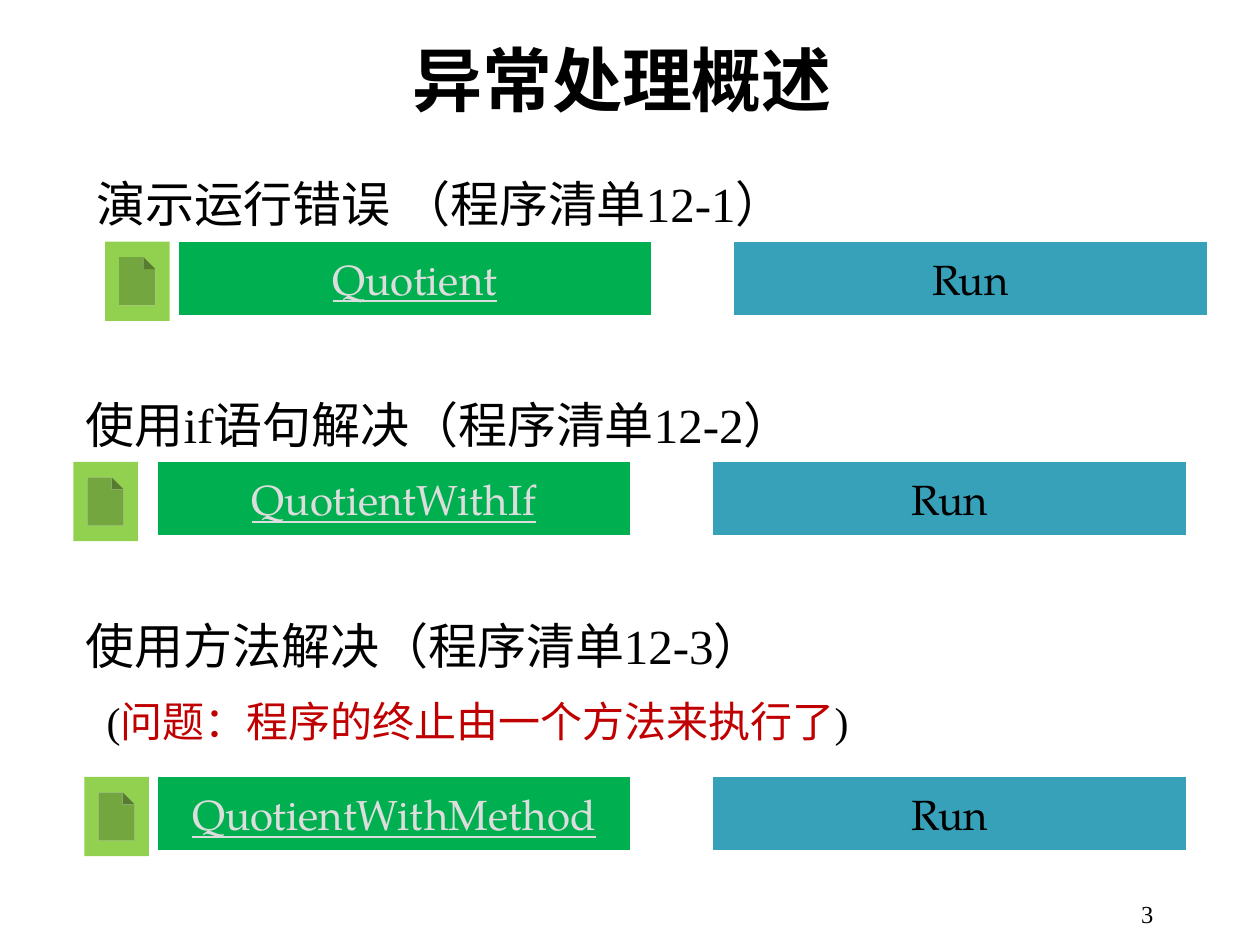
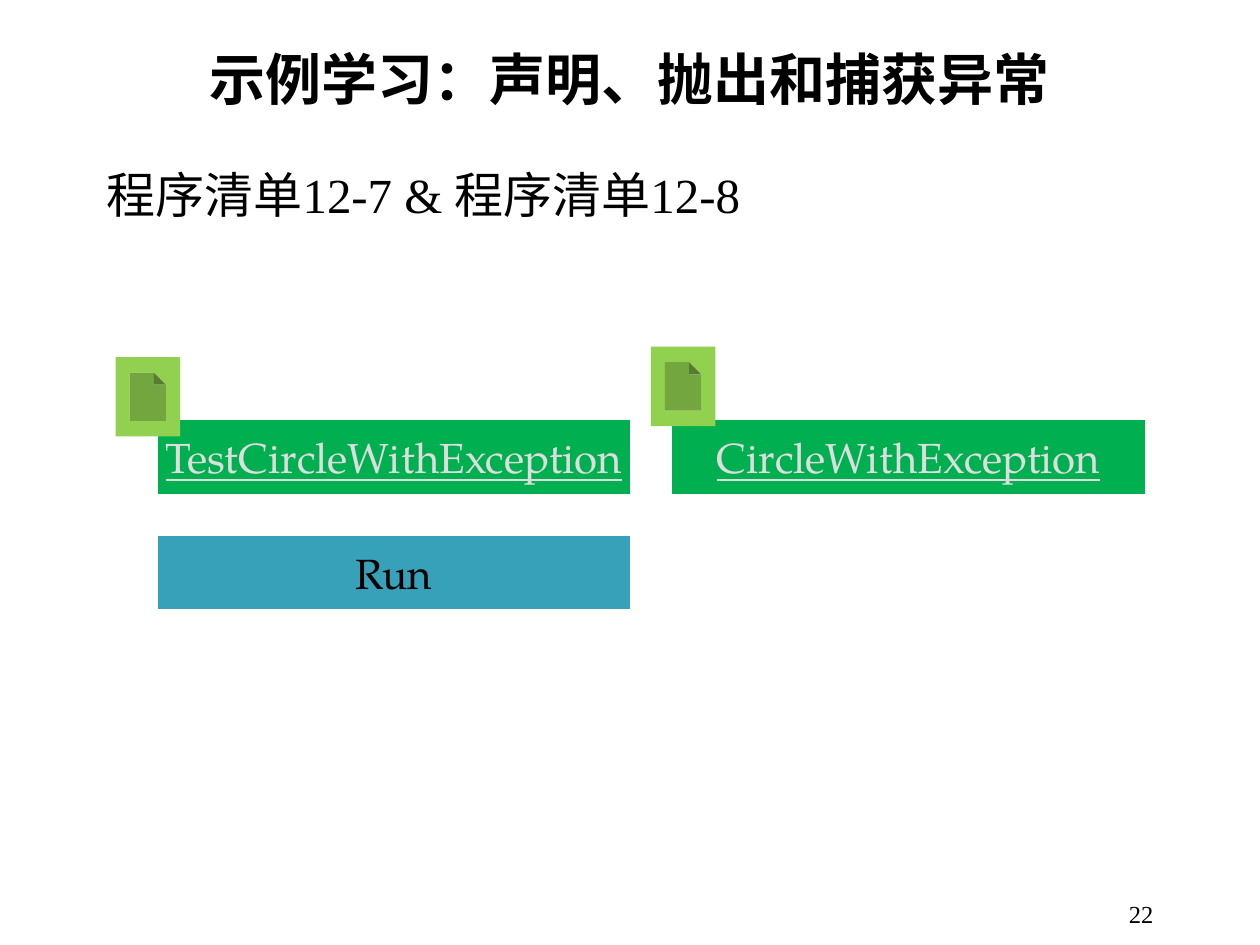
"""Builds two slides on exception handling with listing buttons."""
from lxml.etree import SubElement
from pptx import Presentation
from pptx.dml.color import RGBColor
from pptx.enum.shapes import MSO_SHAPE
from pptx.enum.text import MSO_ANCHOR, MSO_AUTO_SIZE, PP_ALIGN
from pptx.oxml.ns import qn
from pptx.util import Cm, Pt

COLORS = {
    "text": "000000",
    "link": "DDDDDD",
    "source": "00B050",
    "run": "38A1BA",
    "document": "92D050",
    "problem": "C00000",
}
SERIF, MONO, BUTTON_FONT, CJK = (
    "Times New Roman", "Courier New", "TeX Gyre Pagella", "Noto Sans CJK SC")
BUTTON_SIZE = Cm(9.53), Cm(1.48)
RUN_OFFSET = 11.2
LABEL_SIZE = 28


def style(paragraph, size, font=SERIF, color="text", bold=False,
          underline=False, align=PP_ALIGN.LEFT):
    paragraph.alignment = align
    paragraph.space_before = Pt(0)
    paragraph.font.size = Pt(size)
    paragraph.font.name = font
    paragraph.font.bold = bold
    paragraph.font.underline = underline
    paragraph.font.color.rgb = RGBColor.from_string(COLORS[color])
    defaults = paragraph._p.pPr.find(qn("a:defRPr"))
    SubElement(defaults, qn("a:ea"), typeface=CJK)


def place(shape, left, top, width, height):
    shape.left, shape.top = Cm(left), Cm(top)
    shape.width, shape.height = Cm(width), Cm(height)


def add_page(deck, layout, title, title_size, number):
    slide = deck.slides.add_slide(deck.slide_layouts.get_by_name(layout))
    heading = slide.shapes.title
    place(heading, 1.9, 0.08, 21.6, 3)
    heading.text_frame.text = title
    heading.text_frame.auto_size = MSO_AUTO_SIZE.NONE
    heading.text_frame.vertical_anchor = MSO_ANCHOR.MIDDLE
    style(heading.text_frame.paragraphs[0], title_size, MONO, bold=True,
          align=PP_ALIGN.CENTER)

    footer = slide.shapes.add_textbox(Cm(18.2), Cm(17.78), Cm(5.3), Cm(1.27))
    footer.text_frame.text = str(number)
    footer.text_frame.word_wrap = True
    footer.text_frame.vertical_anchor = MSO_ANCHOR.MIDDLE
    style(footer.text_frame.paragraphs[0], 14, align=PP_ALIGN.RIGHT)
    return slide


def add_filled(slide, kind, left, top, size, color):
    shape = slide.shapes.add_shape(kind, Cm(left), Cm(top), *size)
    shape.shadow.inherit = False
    shape.fill.solid()
    shape.fill.fore_color.rgb = RGBColor.from_string(COLORS[color])
    shape.line.fill.background()
    return shape


def add_button(slide, text, left, top, fill, color, underline=False):
    button = add_filled(slide, MSO_SHAPE.ACTION_BUTTON_CUSTOM, left, top,
                        BUTTON_SIZE, fill)
    button.text_frame.text = text
    button.text_frame.word_wrap = False
    button.text_frame.vertical_anchor = MSO_ANCHOR.MIDDLE
    style(button.text_frame.paragraphs[0], 24, BUTTON_FONT, color,
          underline=underline, align=PP_ALIGN.CENTER)


def add_source_button(slide, program, left, top):
    add_button(slide, program, left, top, "source", "link", underline=True)


def add_run_button(slide, left, top):
    add_button(slide, "Run", left, top, "run", "text")


def add_document_icon(slide, left, top):
    add_filled(slide, MSO_SHAPE.ACTION_BUTTON_DOCUMENT, left, top,
               (Cm(1.3), Cm(1.6)), "document")


def add_label(slide, text, left, top, height=1.45):
    label = slide.shapes.add_textbox(Cm(left), Cm(top), Cm(23.5), Cm(height))
    label.text_frame.word_wrap = True
    label.text_frame.text = text
    style(label.text_frame.paragraphs[0], LABEL_SIZE)
    return label


def add_problem_note(label):
    note = label.text_frame.add_paragraph()
    note._p.get_or_add_pPr().set("marL", str(Cm(0.42)))
    style(note, 24)
    note.space_before = Pt(12)
    for text in ("(", "问题：程序的终止由一个方法来执行了", ")"):
        note.add_run().text = text
    problem = note.runs[1].font
    problem.name = CJK
    problem.color.rgb = RGBColor.from_string(COLORS["problem"])


def build_overview(deck):
    slide = add_page(deck, "Title Only", "异常处理概述 ", 40, 3)
    add_label(slide, "演示运行错误 （程序清单12-1）", 1.7, 3.38)
    add_label(slide, "使用if语句解决（程序清单12-2）", 1.48, 7.83)
    method_label = add_label(slide, "使用方法解决（程序清单12-3）", 1.48, 12.28, 3)
    add_problem_note(method_label)

    for program, left, icon_left, top in (
            ("Quotient", 3.6, 2.12, 4.87),
            ("QuotientWithIf", 3.18, 1.48, 9.31),
            ("QuotientWithMethod", 3.18, 1.7, 15.66)):
        add_source_button(slide, program, left, top)
        add_run_button(slide, left + RUN_OFFSET, top)
        add_document_icon(slide, icon_left, top)


def build_case_study(deck):
    slide = add_page(deck, "Title and Content",
                     "示例学习：声明、抛出和捕获异常", 32, 22)
    listings = slide.placeholders[1]
    place(listings, 1.9, 3.18, 21.6, 14.5)
    listings.text_frame.text = "程序清单12-7 & 程序清单12-8"
    listings.text_frame.auto_size = MSO_AUTO_SIZE.NONE
    paragraph = listings.text_frame.paragraphs[0]
    properties = paragraph._p.get_or_add_pPr()
    properties.set("marL", "0")
    properties.set("indent", "0")
    SubElement(properties, qn("a:buNone"))
    style(paragraph, LABEL_SIZE, align=PP_ALIGN.JUSTIFY)

    add_source_button(slide, "TestCircleWithException", 3.18, 8.47)
    add_run_button(slide, 3.18, 10.8)
    add_source_button(slide, "CircleWithException", 13.55, 8.47)
    add_document_icon(slide, 2.33, 7.2)
    add_document_icon(slide, 13.12, 6.99)


def main():
    deck = Presentation()
    deck.slide_width, deck.slide_height = Cm(25.4), Cm(19.05)
    build_overview(deck)
    build_case_study(deck)
    deck.save("out.pptx")


if __name__ == "__main__":
    main()
